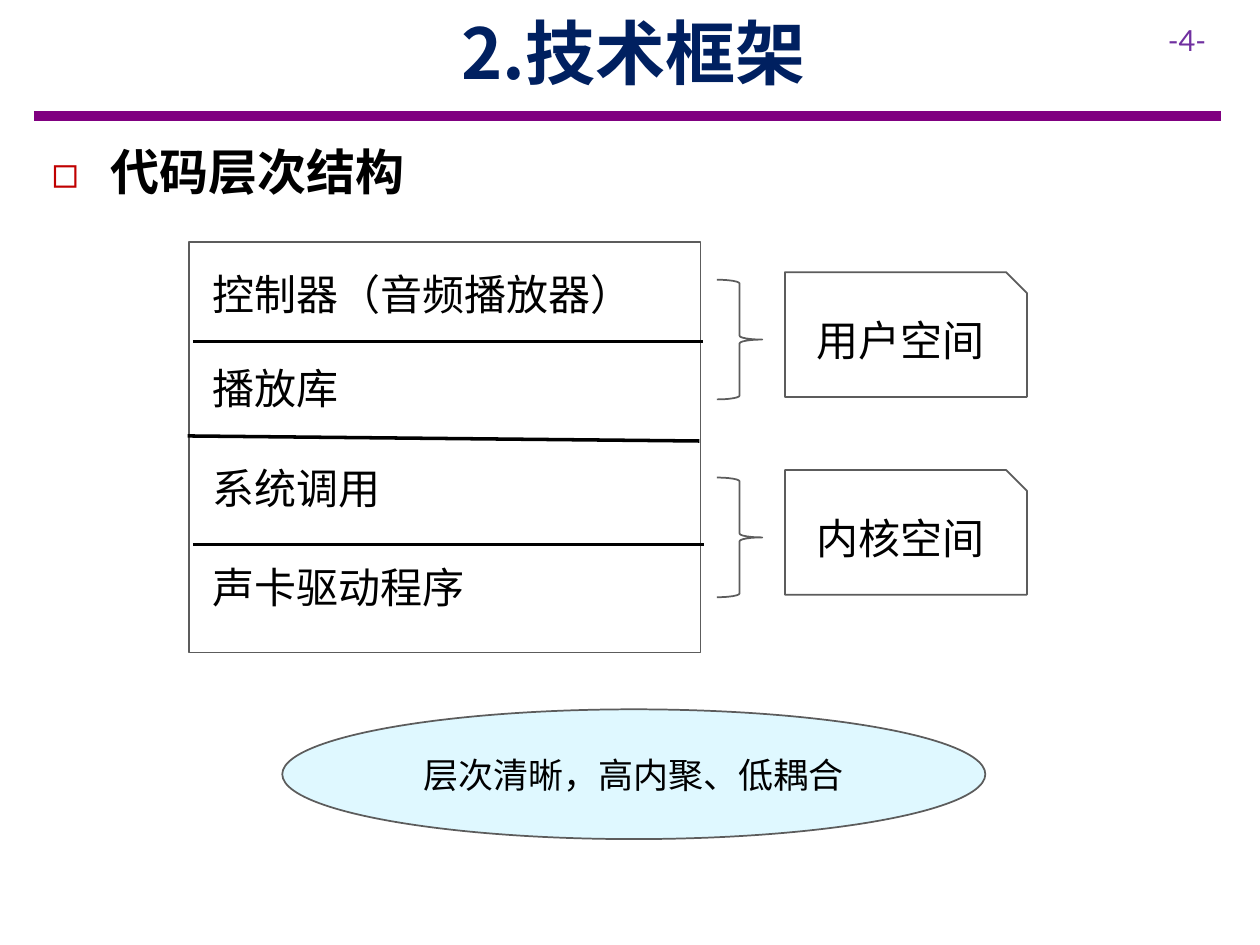
from lxml import etree
from pptx import Presentation
from pptx.dml.color import RGBColor
from pptx.enum.shapes import MSO_CONNECTOR, MSO_SHAPE
from pptx.enum.text import MSO_ANCHOR, MSO_AUTO_SIZE, PP_ALIGN
from pptx.oxml.ns import qn
from pptx.util import Inches, Pt

STRAIGHT = MSO_CONNECTOR.STRAIGHT
RECT, BRACE = MSO_SHAPE.RECTANGLE, MSO_SHAPE.RIGHT_BRACE
SNIP, OVAL = MSO_SHAPE.SNIP_1_RECTANGLE, MSO_SHAPE.OVAL
TOP, MIDDLE = MSO_ANCHOR.TOP, MSO_ANCHOR.MIDDLE
LEFT, CENTER = PP_ALIGN.LEFT, PP_ALIGN.CENTER
NO_AUTOFIT = MSO_AUTO_SIZE.NONE

CJK, LATIN = "Noto Sans CJK SC", "Lato"
COLORS = {
    "rule": "800080", "number": "7030A0", "title": "002060", "bullet": "C00000",
    "text": "000000", "outline": "5C5C5C", "panel": "FFFFFF", "ellipse": "DFF8FF",
}
LAYERS = [("控制器（音频播放器）", 2.08), ("播放库", 2.83), ("系统调用", 3.62), ("声卡驱动程序", 4.41)]
DIVIDERS = [(1.49, 3.46, 5.55, 3.5), (1.53, 2.71, 5.58, 2.71), (1.53, 4.32, 5.59, 4.32)]
SPACES = [("用户空间", 2.16), ("内核空间", 3.73)]


def rgb(name):
    return RGBColor.from_string(COLORS[name])


def place(shape, left, top, width, height):
    box = {"left": left, "top": top, "width": width, "height": height}
    for name, value in box.items():
        setattr(shape, name, Inches(value))


def write(shape, text, size, color="text", font=CJK, bold=False, align=LEFT, anchor=TOP):
    """Fill the shape with one formatted paragraph and return it."""
    tf = shape.text_frame
    for name, value in {"word_wrap": True, "auto_size": NO_AUTOFIT, "vertical_anchor": anchor}.items():
        setattr(tf, name, value)
    p = tf.paragraphs[0]
    p.alignment = align
    r = p.add_run()
    r.text = text
    for name, value in {"size": Pt(size), "bold": bold, "name": font}.items():
        setattr(r.font, name, value)
    r.font.color.rgb = rgb(color)
    etree.SubElement(r._r.get_or_add_rPr(), qn("a:ea"), typeface=font)
    return p


def add_label(shapes, box, text, size, **fmt):
    write(shapes.add_textbox(*map(Inches, box)), text, size, **fmt)


def add_outlined(shapes, kind, box, fill=None):
    sp = shapes.add_shape(kind, *map(Inches, box))
    sp.shadow.inherit = False
    if fill:
        sp.fill.solid()
        sp.fill.fore_color.rgb = rgb(fill)
    else:
        sp.fill.background()
    sp.line.color.rgb = rgb("outline")
    sp.line.width = Pt(1)
    return sp


def add_line(shapes, ends, color, width):
    line = shapes.add_connector(STRAIGHT, *map(Inches, ends))
    line.line.color.rgb = rgb(color)
    line.line.width = Pt(width)
    etree.SubElement(line._element.spPr, qn("a:effectLst"))


def add_bullet(p, char, color, percent, indent):
    pPr = p._p.get_or_add_pPr()
    pPr.set("marL", str(Inches(indent)))
    pPr.set("indent", str(-Inches(indent)))
    bu_color = etree.SubElement(pPr, qn("a:buClr"))
    etree.SubElement(bu_color, qn("a:srgbClr"), val=COLORS[color])
    etree.SubElement(pPr, qn("a:buSzPct"), val=str(percent * 1000))
    etree.SubElement(pPr, qn("a:buFont"), typeface=CJK)
    etree.SubElement(pPr, qn("a:buChar"), char=char)


def add_header(s):
    add_line(s.shapes, (0.27, 0.92, 9.69, 0.92), "rule", 6)
    add_label(s.shapes, (9.17, 0.13, 0.83, 0.38), "-4-", 16.6,
              color="number", font=LATIN, anchor=MIDDLE)
    title, body = s.placeholders
    place(title, 0.85, -0.01, 8.35, 0.84)
    write(title, "2.技术框架", 40, color="title", bold=True, align=CENTER, anchor=MIDDLE)
    place(body, 0.31, 1.07, 9.69, 1.7)
    p = write(body, " 代码层次结构", 28, bold=True)
    p.space_before = p.space_after = Pt(6)
    add_bullet(p, "◻", "bullet", 90, 0.38)


def add_layer_stack(s):
    shapes = s.shapes.add_group_shape().shapes
    add_outlined(shapes, RECT, (1.5, 1.92, 4.06, 3.26), "panel")
    for ends in DIVIDERS:
        add_line(shapes, ends, "text", 2)
    for text, top in LAYERS:
        add_label(shapes, (1.59, top, 3.66, 0.49), text, 24)


def add_space(s, text, top):
    """Add a brace over two layers and the box that names them."""
    add_outlined(s.shapes, BRACE, (5.69, top + 0.06, 0.36, 0.95))
    box = add_outlined(s.shapes, SNIP, (6.23, top, 1.92, 0.99))
    write(box, text, 24, align=CENTER, anchor=MIDDLE)


def main():
    prs = Presentation()
    prs.slide_width, prs.slide_height = Inches(10), Inches(7.5)
    s = prs.slides.add_slide(prs.slide_layouts[1])
    add_header(s)
    add_layer_stack(s)
    for text, top in SPACES:
        add_space(s, text, top)
    summary = add_outlined(s.shapes, OVAL, (2.24, 5.63, 5.58, 1.03), "ellipse")
    write(summary, "层次清晰，高内聚、低耦合", 20, align=CENTER, anchor=MIDDLE)
    prs.save("out.pptx")


if __name__ == "__main__":
    main()
